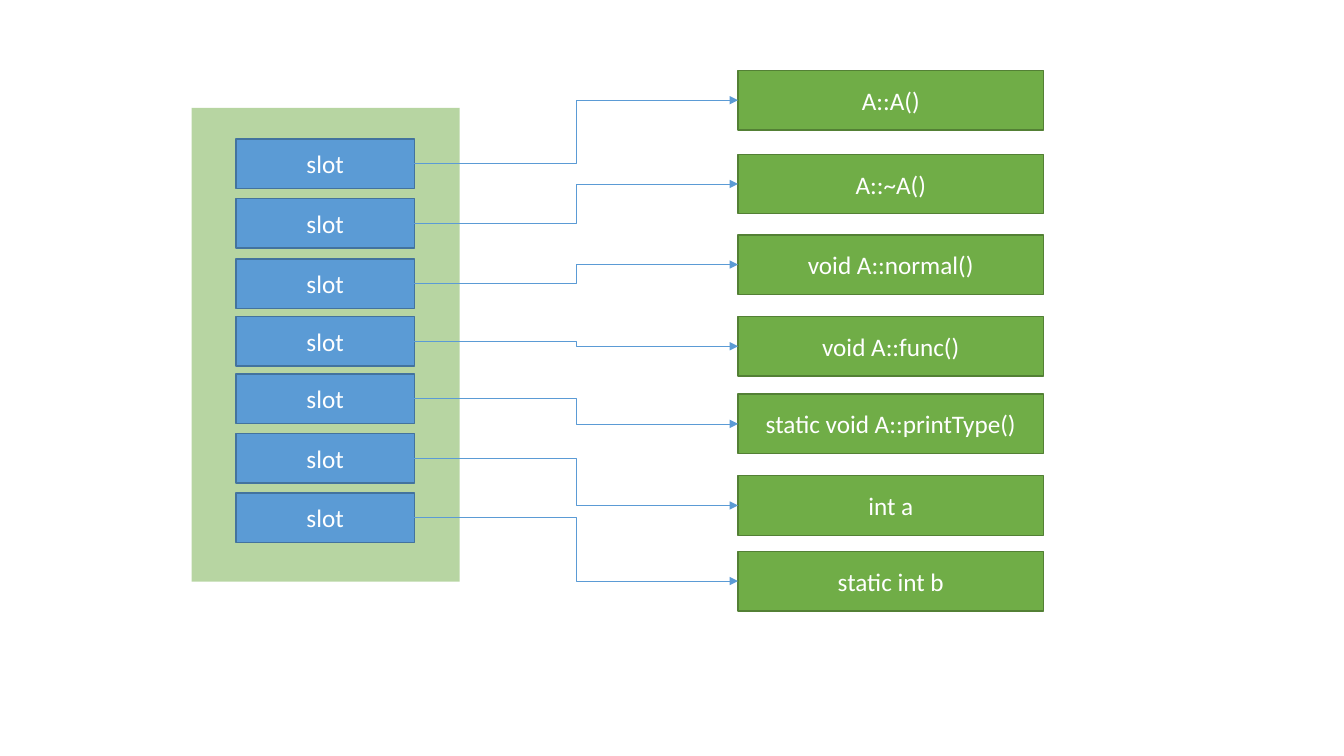
from dataclasses import dataclass

from lxml.etree import SubElement
from pptx import Presentation
from pptx.dml.color import RGBColor
from pptx.enum.shapes import MSO_CONNECTOR, MSO_SHAPE
from pptx.enum.text import MSO_ANCHOR, PP_ALIGN
from pptx.oxml.ns import qn
from pptx.util import Inches, Pt


@dataclass(frozen=True)
class Theme:
    """Colours, font and sizes used on the slide."""
    slot_fill: str = "5B9BD5"
    slot_line: str = "43739E"
    member_fill: str = "70AD47"
    member_line: str = "538035"
    text: str = "FFFFFF"
    font: str = "Calibri"
    text_size: float = 18
    box_line: float = 1
    arrow_line: float = 0.5
    table_alpha: int = 50


THEME = Theme()
RIGHT_SITE, LEFT_SITE = 3, 1
SLOT_LEFT, SLOT_WIDTH, SLOT_HEIGHT = 2.34, 1.77, 0.49
MEMBER_LEFT, MEMBER_WIDTH, MEMBER_HEIGHT = 7.32, 3.03, 0.59

# Slot top, member top, member text
ROWS = [
    (1.38, 0.70, "A::A()"),
    (1.97, 1.53, "A::~A()"),
    (2.57, 2.33, "void A::normal()"),
    (3.14, 3.14, "void A::func()"),
    (3.71, 3.91, "static void A::printType()"),
    (4.30, 4.72, "int a"),
    (4.89, 5.47, "static int b"),
]


def set_attrs(obj, values):
    """Set each named attribute of obj."""
    for name, value in values.items():
        setattr(obj, name, value)


def add_rect(slide, left, top, width, height, fill):
    """Add a plain filled rectangle without outline or shadow."""
    sp = slide.shapes.add_shape(
        MSO_SHAPE.RECTANGLE, *map(Inches, (left, top, width, height)))
    sp.shadow.inherit = False
    sp.fill.solid()
    sp.fill.fore_color.rgb = RGBColor.from_string(fill)
    sp.line.fill.background()
    return sp


def add_table_panel(slide):
    """Add the half-transparent panel behind the slots."""
    sp = add_rect(slide, 1.9, 1.07, 2.66, 4.7, THEME.member_fill)
    color = sp.fill._xPr.find(qn("a:solidFill"))[0]
    SubElement(color, qn("a:alpha"), val=str(THEME.table_alpha * 1000))


def add_box(slide, text, left, top, width, height, fill, line):
    """Add an outlined rectangle with one centred line of text."""
    sp = add_rect(slide, left, top, width, height, fill)
    sp.line.color.rgb = RGBColor.from_string(line)
    sp.line.width = Pt(THEME.box_line)
    tf = sp.text_frame
    set_attrs(tf, {"word_wrap": True, "vertical_anchor": MSO_ANCHOR.MIDDLE})
    p = tf.paragraphs[0]
    p.alignment = PP_ALIGN.CENTER
    r = p.add_run()
    r.text = text
    set_attrs(r.font, {"name": THEME.font, "size": Pt(THEME.text_size)})
    r.font.color.rgb = RGBColor.from_string(THEME.text)
    return sp


def add_arrow(slide, slot, member):
    """Join a slot to its member with an elbow arrow."""
    cxn = slide.shapes.add_connector(MSO_CONNECTOR.ELBOW, 0, 0, 0, 0)
    cxn.begin_connect(slot, RIGHT_SITE)
    cxn.end_connect(member, LEFT_SITE)
    cxn.line.color.rgb = RGBColor.from_string(THEME.slot_fill)
    cxn.line.width = Pt(THEME.arrow_line)
    SubElement(cxn.line._get_or_add_ln(), qn("a:tailEnd"), type="triangle")
    SubElement(cxn._element.spPr, qn("a:effectLst"))


def main():
    """Build the slide and save it."""
    prs = Presentation()
    set_attrs(prs, {"slide_width": Inches(13.33), "slide_height": Inches(7.5)})
    slide = prs.slides.add_slide(prs.slide_layouts[6])

    add_table_panel(slide)
    slots = [add_box(slide, "slot", SLOT_LEFT, top, SLOT_WIDTH, SLOT_HEIGHT,
                     THEME.slot_fill, THEME.slot_line)
             for top, _, _ in ROWS]
    members = [add_box(slide, text, MEMBER_LEFT, top, MEMBER_WIDTH,
                       MEMBER_HEIGHT, THEME.member_fill, THEME.member_line)
               for _, top, text in ROWS]
    for slot, member in zip(slots, members):
        add_arrow(slide, slot, member)

    prs.save("out.pptx")


main()
